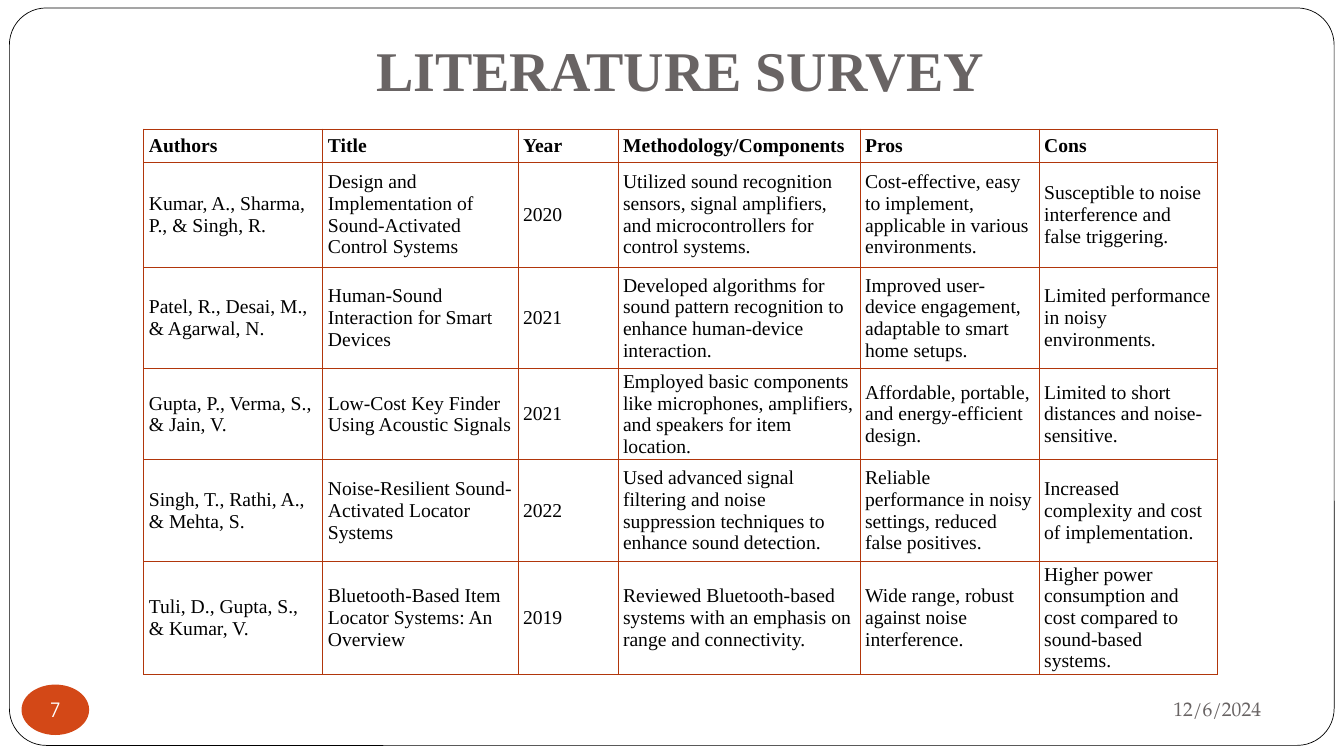
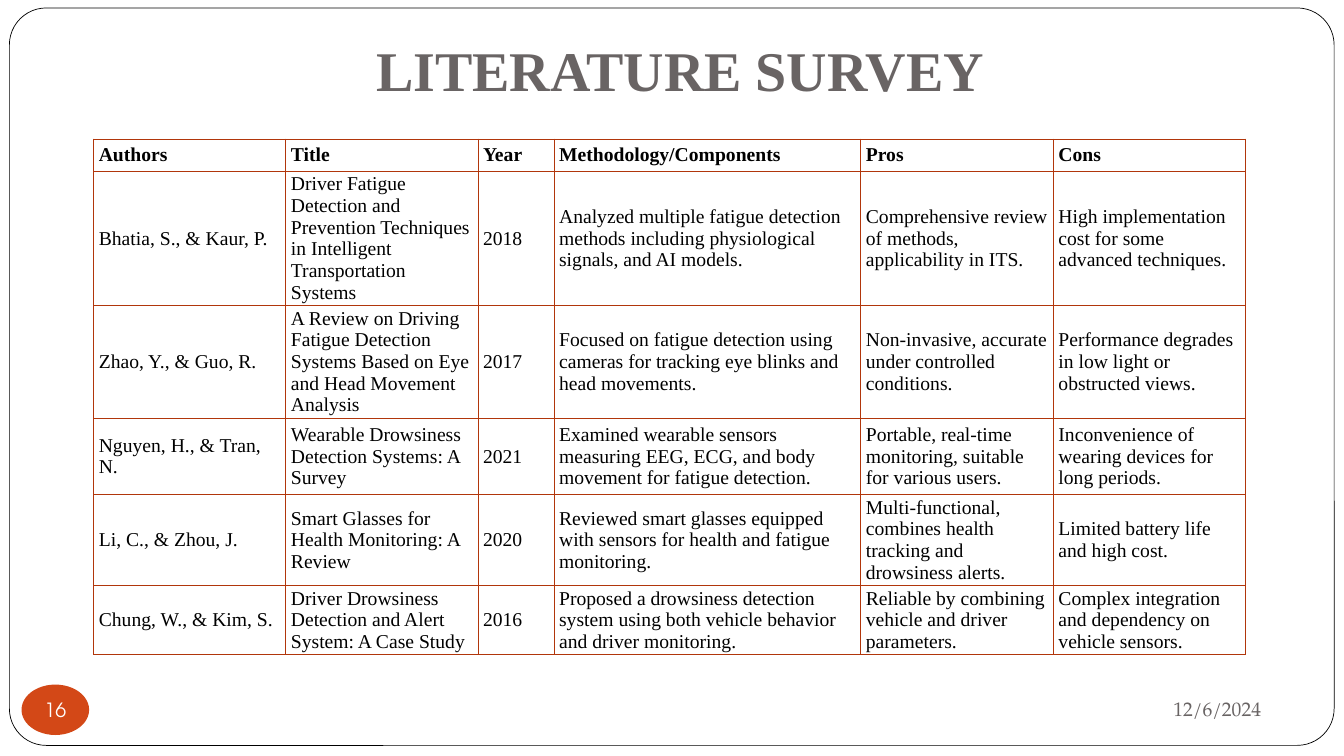
from dataclasses import dataclass
from itertools import product
from typing import Optional

from lxml.etree import SubElement
from pptx import Presentation
from pptx.dml.color import RGBColor
from pptx.enum.shapes import MSO_SHAPE
from pptx.enum.text import MSO_ANCHOR, PP_ALIGN
from pptx.oxml.ns import qn
from pptx.util import Inches, Length, Pt


@dataclass(frozen=True)
class Style:
    font: str
    size: int
    color: RGBColor
    bold: bool = False
    align: PP_ALIGN = PP_ALIGN.LEFT
    anchor: MSO_ANCHOR = MSO_ANCHOR.MIDDLE
    margins: tuple[float, float, float, float] = (0.1, 0.05, 0.1, 0.05)
    line_height: Optional[float] = None


@dataclass(frozen=True)
class Theme:
    paper: RGBColor
    outline: RGBColor
    accent: RGBColor
    border: RGBColor
    outline_width: float
    border_width: float
    title: Style
    date: Style
    badge: Style
    header: Style
    body: Style


@dataclass(frozen=True)
class Area:
    """Left, top, width and height in percent of the slide."""
    left: float
    top: float
    width: float
    height: float

    def lengths(self) -> tuple[Length, Length, Length, Length]:
        return (
            Length(round(SLIDE_WIDTH * self.left / 100)),
            Length(round(SLIDE_HEIGHT * self.top / 100)),
            Length(round(SLIDE_WIDTH * self.width / 100)),
            Length(round(SLIDE_HEIGHT * self.height / 100)),
        )


@dataclass(frozen=True)
class Study:
    authors: str
    title: str
    year: str
    methodology: str
    pros: str
    cons: str

    def cells(self) -> tuple[str, ...]:
        return (self.authors, self.title, self.year,
                self.methodology, self.pros, self.cons)


@dataclass(frozen=True)
class Survey:
    number: int
    area: Area
    column_weights: tuple[int, ...]
    row_weights: tuple[int, ...]
    studies: tuple[Study, ...]


SLIDE_WIDTH = Inches(13.33)
SLIDE_HEIGHT = Inches(7.5)

GRAY = RGBColor.from_string("696464")
WHITE = RGBColor.from_string("FFFFFF")
BLACK = RGBColor.from_string("000000")
SERIF = "Times New Roman"
CELL_MARGINS = (0.05, 0.02, 0.05, 0.02)
CELL_LINE_HEIGHT = 15.5

THEME = Theme(
    paper=WHITE,
    outline=BLACK,
    accent=RGBColor.from_string("D34817"),
    border=RGBColor.from_string("B1360B"),
    outline_width=0.5,
    border_width=0.75,
    title=Style(SERIF, 40, GRAY, True, PP_ALIGN.CENTER, MSO_ANCHOR.BOTTOM,
                (0.1, 0.05, 0.1, 0.1)),
    date=Style("TeX Gyre Pagella", 14, GRAY, align=PP_ALIGN.RIGHT),
    badge=Style("TeX Gyre Adventor", 14, WHITE, align=PP_ALIGN.CENTER,
                margins=(0, 0, 0, 0)),
    header=Style(SERIF, 14, BLACK, True, margins=CELL_MARGINS,
                 line_height=CELL_LINE_HEIGHT),
    body=Style(SERIF, 14, BLACK, margins=CELL_MARGINS,
               line_height=CELL_LINE_HEIGHT),
)

FRAME_AREA = Area(0.7, 1.05, 98.57, 97.55)
FRAME_ROUNDING = 0.05
TITLE_AREA = Area(8.1, 2.65, 85, 12.27)
DATE_AREA = Area(67.5, 90.27, 27.08, 6.93)
BADGE_AREA = Area(1.6, 90.55, 5.03, 6.67)

TITLE = "LITERATURE SURVEY"
DATE = "12/6/2024"
HEADER = Study("Authors", "Title", "Year", "Methodology/Components", "Pros", "Cons")

SURVEYS = (
    Survey(7, Area(10.7, 17.07, 79.9, 70.53),
           (1776, 1935, 992, 2401, 1776, 1770), (33, 104, 101, 89, 101, 101), (
        Study("Kumar, A., Sharma, P., & Singh, R.",
              "Design and Implementation of Sound-Activated Control Systems", "2020",
              "Utilized sound recognition sensors, signal amplifiers, and microcontrollers for control systems.",
              "Cost-effective, easy to implement, applicable in various environments.",
              "Susceptible to noise interference and false triggering."),
        Study("Patel, R., Desai, M., & Agarwal, N.",
              "Human-Sound Interaction for Smart Devices", "2021",
              "Developed algorithms for sound pattern recognition to enhance human-device interaction.",
              "Improved user-device engagement, adaptable to smart home setups.",
              "Limited performance in noisy environments."),
        Study("Gupta, P., Verma, S., & Jain, V.",
              "Low-Cost Key Finder Using Acoustic Signals", "2021",
              "Employed basic components like microphones, amplifiers, and speakers for item location.",
              "Affordable, portable, and energy-efficient design.",
              "Limited to short distances and noise-sensitive."),
        Study("Singh, T., Rathi, A., & Mehta, S.",
              "Noise-Resilient Sound-Activated Locator Systems", "2022",
              "Used advanced signal filtering and noise suppression techniques to enhance sound detection.",
              "Reliable performance in noisy settings, reduced false positives.",
              "Increased complexity and cost of implementation."),
        Study("Tuli, D., Gupta, S., & Kumar, V.",
              "Bluetooth-Based Item Locator Systems: An Overview", "2019",
              "Reviewed Bluetooth-based systems with an emphasis on range and connectivity.",
              "Wide range, robust against noise interference.",
              "Higher power consumption and cost compared to sound-based systems."),
    )),
    Survey(16, Area(6.98, 18.4, 85.7, 64),
           (1905, 1905, 755, 3043, 1910, 1905), (32, 123, 103, 76, 83, 63), (
        Study("Bhatia, S., & Kaur, P.",
              "Driver Fatigue Detection and Prevention Techniques in Intelligent Transportation Systems", "2018",
              "Analyzed multiple fatigue detection methods including physiological signals, and AI models.",
              "Comprehensive review of methods, applicability in ITS.",
              "High implementation cost for some advanced techniques."),
        Study("Zhao, Y., & Guo, R.",
              "A Review on Driving Fatigue Detection Systems Based on Eye and Head Movement Analysis", "2017",
              "Focused on fatigue detection using cameras for tracking eye blinks and head movements.",
              "Non-invasive, accurate under controlled conditions.",
              "Performance degrades in low light or obstructed views."),
        Study("Nguyen, H., & Tran, N.",
              "Wearable Drowsiness Detection Systems: A Survey", "2021",
              "Examined wearable sensors measuring EEG, ECG, and body movement for fatigue detection.",
              "Portable, real-time monitoring, suitable for various users.",
              "Inconvenience of wearing devices for long periods."),
        Study("Li, C., & Zhou, J.",
              "Smart Glasses for Health Monitoring: A Review", "2020",
              "Reviewed smart glasses equipped with sensors for health and fatigue monitoring.",
              "Multi-functional, combines health tracking and drowsiness alerts.",
              "Limited battery life and high cost."),
        Study("Chung, W., & Kim, S.",
              "Driver Drowsiness Detection and Alert System: A Case Study", "2016",
              "Proposed a drowsiness detection system using both vehicle behavior and driver monitoring.",
              "Reliable by combining vehicle and driver parameters.",
              "Complex integration and dependency on vehicle sensors."),
    )),
)


def write(holder, frame, text: str, style: Style) -> None:
    frame.text = text
    holder.vertical_anchor = style.anchor
    (holder.margin_left, holder.margin_top,
     holder.margin_right, holder.margin_bottom) = map(Inches, style.margins)
    for paragraph in frame.paragraphs:
        paragraph.alignment = style.align
        if style.line_height:
            paragraph.line_spacing = Pt(style.line_height)
        for span in paragraph.runs:
            span.font.name = style.font
            span.font.size = Pt(style.size)
            span.font.bold = style.bold
            span.font.color.rgb = style.color


def add_text(page, area: Area, text: str, style: Style) -> None:
    frame = page.shapes.add_textbox(*area.lengths()).text_frame
    frame.word_wrap = True
    write(frame, frame, text, style)


def add_panel(page, kind: MSO_SHAPE, area: Area, fill: RGBColor):
    panel = page.shapes.add_shape(kind, *area.lengths())
    panel.shadow.inherit = False
    panel.fill.solid()
    panel.fill.fore_color.rgb = fill
    panel.line.fill.background()
    return panel


def add_frame(page) -> None:
    frame = add_panel(page, MSO_SHAPE.ROUNDED_RECTANGLE, FRAME_AREA, THEME.paper)
    frame.adjustments[0] = FRAME_ROUNDING
    frame.line.color.rgb = THEME.outline
    frame.line.width = Pt(THEME.outline_width)


def add_badge(page, number: int) -> None:
    frame = add_panel(page, MSO_SHAPE.OVAL, BADGE_AREA, THEME.accent).text_frame
    frame.word_wrap = False
    write(frame, frame, str(number), THEME.badge)


def draw_borders(cell) -> None:
    properties = cell._tc.get_or_add_tcPr()
    for side in ("a:lnL", "a:lnR", "a:lnT", "a:lnB"):
        line = SubElement(properties, qn(side), w=str(Pt(THEME.border_width)))
        fill = SubElement(line, qn("a:solidFill"))
        SubElement(fill, qn("a:srgbClr"), val=str(THEME.border))


def add_survey_table(page, survey: Survey) -> None:
    records = (HEADER, *survey.studies)
    contents = [record.cells() for record in records]
    row_count, column_count = len(contents), len(contents[0])
    left, top, width, height = survey.area.lengths()
    table = page.shapes.add_table(
        row_count, column_count, left, top, width, height).table
    table.first_row = False
    table.horz_banding = False
    for column, weight in zip(table.columns, survey.column_weights):
        column.width = Length(round(width * weight / sum(survey.column_weights)))
    for row, weight in zip(table.rows, survey.row_weights):
        row.height = Length(round(height * weight / sum(survey.row_weights)))
    for row, column in product(range(row_count), range(column_count)):
        cell = table.cell(row, column)
        style = THEME.body if row else THEME.header
        write(cell, cell.text_frame, contents[row][column], style)
        draw_borders(cell)
        cell.fill.background()


def add_survey_page(deck, survey: Survey) -> None:
    page = deck.slides.add_slide(deck.slide_layouts[6])
    add_frame(page)
    add_text(page, DATE_AREA, DATE, THEME.date)
    add_badge(page, survey.number)
    add_text(page, TITLE_AREA, TITLE, THEME.title)
    add_survey_table(page, survey)


def main() -> None:
    deck = Presentation()
    deck.slide_width = SLIDE_WIDTH
    deck.slide_height = SLIDE_HEIGHT
    for survey in SURVEYS:
        add_survey_page(deck, survey)
    deck.save("out.pptx")


if __name__ == "__main__":
    main()
